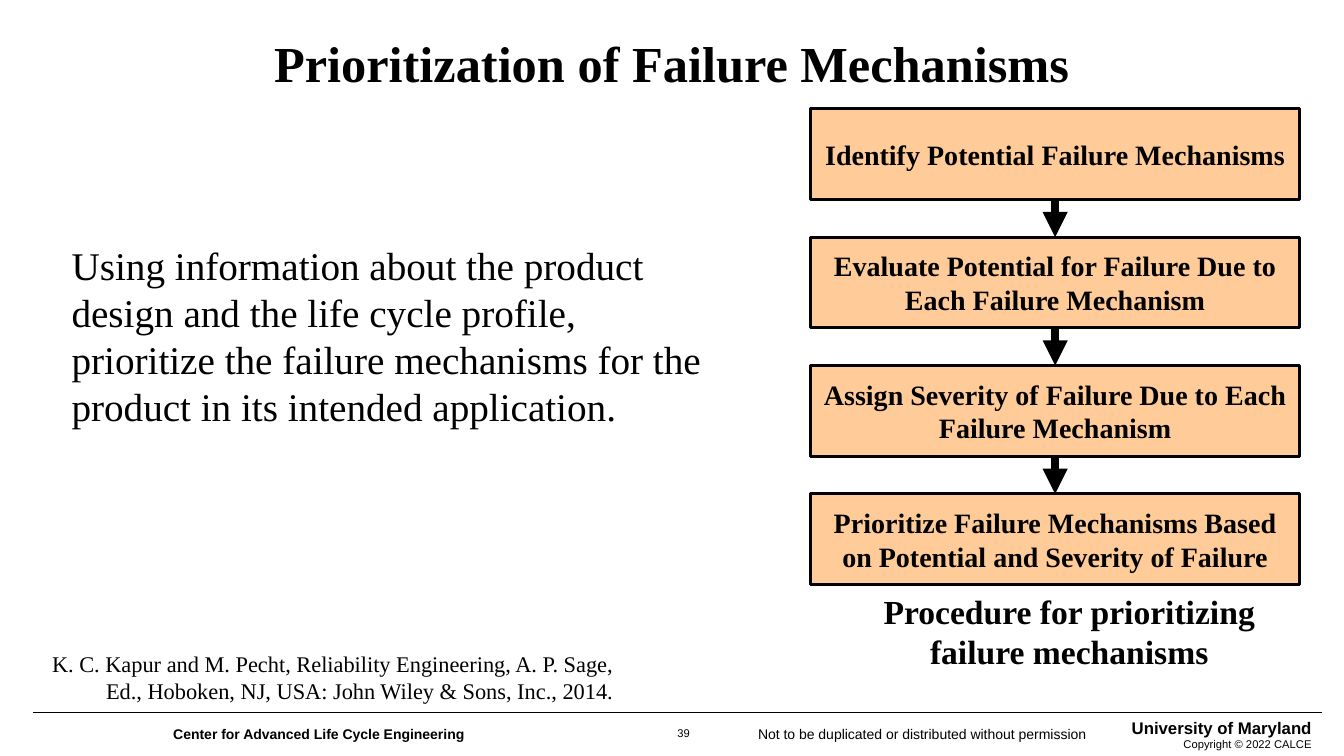
from itertools import pairwise

from lxml.etree import SubElement
from pptx import Presentation
from pptx.dml.color import RGBColor
from pptx.enum.shapes import MSO_CONNECTOR as CONNECTOR, MSO_SHAPE as SHAPE
from pptx.enum.text import MSO_ANCHOR as ANCHOR, MSO_AUTO_SIZE as AUTO_SIZE, PP_ALIGN as ALIGN
from pptx.oxml.ns import qn
from pptx.util import Inches, Pt

BLACK, PEACH = "000000", "FFCC99"
SERIF, SANS = "Times New Roman", "Arial"


def write(frame, lines, font_name, align=ALIGN.LEFT):
    """Fill a text frame with one paragraph per (text, size, bold) line."""
    frame.word_wrap = True
    frame.auto_size = AUTO_SIZE.NONE
    for index, (text, size, bold) in enumerate(lines):
        paragraph = frame.add_paragraph() if index else frame.paragraphs[0]
        paragraph.text = text
        paragraph.alignment = align
        font = paragraph.font
        font.name, font.size, font.bold = font_name, Pt(size), bold
        font.color.rgb = RGBColor.from_string(BLACK)


def add_line(start, end, width):
    connector = slide.shapes.add_connector(
        CONNECTOR.STRAIGHT, *(Inches(value) for value in (*start, *end)))
    connector.line.color.rgb = RGBColor.from_string(BLACK)
    connector.line.width = Pt(width)
    SubElement(connector._element.spPr, qn("a:effectLst"))
    return connector


prs = Presentation()
prs.slide_width, prs.slide_height = Inches(13.33), Inches(7.5)
slide = prs.slides.add_slide(prs.slide_layouts[1])

# Title and statement
title, statement = slide.placeholders
title.left, title.top, title.width, title.height = map(Inches, (1.34, 0, 10.65, 1.23))
write(title.text_frame, [("Prioritization of Failure Mechanisms", 36, True)], SERIF, ALIGN.CENTER)
title.text_frame.vertical_anchor = ANCHOR.MIDDLE

statement.left, statement.top, statement.width, statement.height = map(
    Inches, (0.61, 2.34, 6.63, 2.18))
statement_props = statement.text_frame.paragraphs[0]._p.get_or_add_pPr()
statement_props.set("marL", "0")
statement_props.set("indent", "0")
SubElement(statement_props, qn("a:buNone"))
write(statement.text_frame, [(
    "Using information about the product design and the life cycle profile, "
    "prioritize the failure mechanisms for the product in its intended application.",
    28, False)], SERIF)
statement.text_frame.paragraphs[0].space_before = Pt(0)
statement.text_frame.paragraphs[0].space_after = Pt(6)

# Procedure flowchart
STEP_LEFT, STEP_TOP, STEP_WIDTH, STEP_HEIGHT, STEP_PITCH = 8.04, 1.08, 4.85, 0.9, 1.273
step_texts = [
    "Identify Potential Failure Mechanisms",
    "Evaluate Potential for Failure Due to Each Failure Mechanism",
    "Assign Severity of Failure Due to Each Failure Mechanism",
    "Prioritize Failure Mechanisms Based on Potential and Severity of Failure",
]
steps = []
for index, text in enumerate(step_texts):
    step = slide.shapes.add_shape(
        SHAPE.RECTANGLE, Inches(STEP_LEFT), Inches(STEP_TOP + index * STEP_PITCH),
        Inches(STEP_WIDTH), Inches(STEP_HEIGHT))
    step.shadow.inherit = False
    step.fill.solid()
    step.fill.fore_color.rgb = RGBColor.from_string(PEACH)
    step.line.color.rgb = RGBColor.from_string(BLACK)
    step.line.width = Pt(2)
    write(step.text_frame, [(text, 20, True)], SERIF, ALIGN.CENTER)
    step.text_frame.vertical_anchor = ANCHOR.MIDDLE
    steps.append(step)

for upper, lower in pairwise(steps):
    arrow = add_line((0, 0), (0, 0), 6)
    arrow.begin_connect(upper, 2)
    arrow.end_connect(lower, 0)
    SubElement(arrow.line._get_or_add_ln(), qn("a:tailEnd"), type="triangle")

# Caption, citation and footer
add_line((0.33, 7.07), (13.11, 7.07), 1)
notes = [
    ((8.18, 5.81, 4.85, 0.91), SERIF, ALIGN.CENTER,
     [("Procedure for prioritizing failure mechanisms", 24, True)]),
    ((0.23, 6.4, 5.95, 0.64), SERIF, ALIGN.RIGHT,
     [("K. C. Kapur and M. Pecht, Reliability Engineering, A. P. Sage, Ed., "
       "Hoboken, NJ, USA: John Wiley & Sons, Inc., 2014.", 16, False)]),
    ((1.62, 7.15, 4.5, 0.27), SANS, ALIGN.LEFT,
     [("Center for Advanced Life Cycle Engineering", 10, True)]),
    ((6.61, 7.16, 0.34, 0.24), SANS, ALIGN.CENTER, [("39", 8, False)]),
    ((7.42, 7.15, 3.8, 0.27), SANS, ALIGN.LEFT,
     [("Not to be duplicated or distributed without permission", 10, False)]),
    ((11, 7.07, 2.11, 0.43), SANS, ALIGN.RIGHT,
     [("University of Maryland", 12, True), ("Copyright © 2022 CALCE", 8, False)]),
]
for place, font_name, align, lines in notes:
    note = slide.shapes.add_textbox(*map(Inches, place))
    write(note.text_frame, lines, font_name, align)

prs.save("out.pptx")
